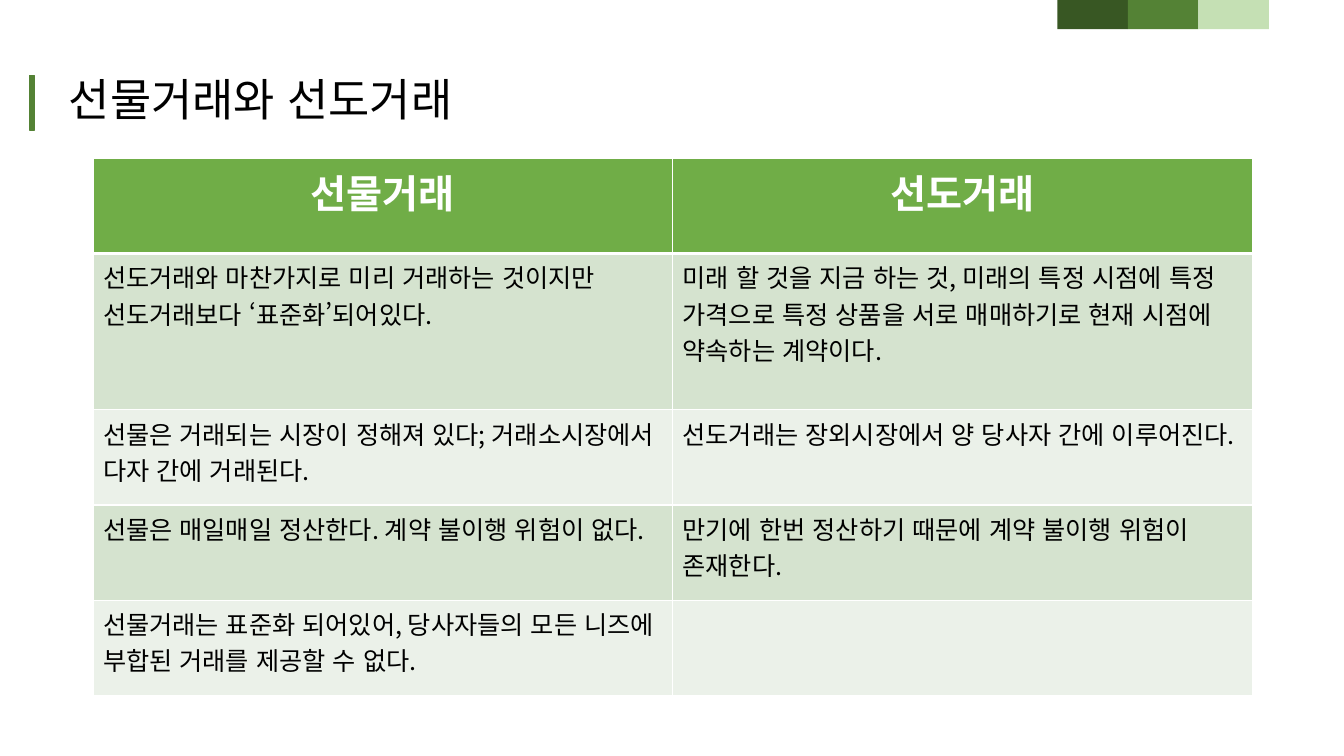
from typing import NamedTuple

from lxml.etree import SubElement
from pptx import Presentation
from pptx.dml.color import RGBColor as RGB
from pptx.enum.lang import MSO_LANGUAGE_ID as LANG
from pptx.enum.shapes import MSO_SHAPE as SHAPE
from pptx.enum.text import MSO_ANCHOR as ANCHOR, PP_ALIGN as ALIGN
from pptx.oxml.ns import qn
from pptx.util import Pt

FONT = "Noto Sans CJK KR"
COLORS = {
    "dark": "385723", "green": "548235", "pale": "C5E0B4",
    "header": "70AD47", "band_odd": "D5E3CF", "band_even": "EBF1E9",
    "white": "FFFFFF", "black": "000000",
}


class Bar(NamedTuple):
    left: float
    top: float
    width: float
    height: float
    color: str
    line: float = 0


class Row(NamedTuple):
    futures: str
    forwards: str
    height: float = 68


BARS = [Bar(755.3 + 50.4 * i, 0, 50.4, 20.9, color)
        for i, color in enumerate(("dark", "green", "pale"))]
BARS.append(Bar(21, 54, 3.6, 38.9, "green", 1))

ROWS = [
    Row("선물거래", "선도거래"),
    Row("선도거래와 마찬가지로 미리 거래하는 것이지만 선도거래보다 ‘표준화’되어있다.",
        "미래 할 것을 지금 하는 것, 미래의 특정 시점에 특정 가격으로 특정 상품을 서로 매매하기로 "
        "현재 시점에 약속하는 계약이다.", 111.6),
    Row("선물은 거래되는 시장이 정해져 있다; 거래소시장에서 다자 간에 거래된다.",
        "선도거래는 장외시장에서 양 당사자 간에 이루어진다."),
    Row("선물은 매일매일 정산한다. 계약 불이행 위험이 없다.",
        "만기에 한번 정산하기 때문에 계약 불이행 위험이 존재한다."),
    Row("선물거래는 표준화 되어있어, 당사자들의 모든 니즈에 부합된 거래를 제공할 수 없다.", ""),
]


def write(tf, text: str, *, size: float, color: str = "black", bold: bool = False,
          align=ALIGN.LEFT, spacing: float = 1.0) -> None:
    p = tf.paragraphs[0]
    p.alignment = align
    p.line_spacing = spacing
    r = p.add_run()
    r.text = text
    font = r.font
    font.size, font.bold, font.name = Pt(size), bold, FONT
    font.language_id = LANG.KOREAN
    font.color.rgb = RGB.from_string(COLORS[color])
    SubElement(r._r.get_or_add_rPr(), qn("a:ea"), typeface=FONT)


def draw_bar(slide, bar: Bar) -> None:
    sp = slide.shapes.add_shape(SHAPE.RECTANGLE, Pt(bar.left), Pt(bar.top),
                                Pt(bar.width), Pt(bar.height))
    sp.shadow.inherit = False
    sp.fill.solid()
    sp.fill.fore_color.rgb = RGB.from_string(COLORS[bar.color])
    if bar.line:
        sp.line.color.rgb = RGB.from_string(COLORS[bar.color])
        sp.line.width = Pt(bar.line)
    else:
        sp.line.fill.background()


def draw_borders(cell, bottom: float, top: float) -> None:
    props = cell._tc.get_or_add_tcPr()
    for side, width in (("L", 1), ("R", 1), ("T", top), ("B", bottom)):
        ln = SubElement(props, qn(f"a:ln{side}"), w=str(Pt(width)))
        fill = SubElement(ln, qn("a:solidFill"))
        SubElement(fill, qn("a:srgbClr"), val=COLORS["white"])


def draw_table(slide, rows: list[Row]) -> None:
    height = sum(row.height for row in rows)
    table = slide.shapes.add_table(len(rows), 2, Pt(66.4), Pt(113.2),
                                   Pt(828), Pt(height)).table
    for column in table.columns:
        column.width = Pt(414)
    for i, row in enumerate(rows):
        table.rows[i].height = Pt(row.height)
        header = i == 0
        band = "header" if header else "band_odd" if i % 2 else "band_even"
        for j, text in enumerate((row.futures, row.forwards)):
            cell = table.cell(i, j)
            draw_borders(cell, bottom=3 if header else 1, top=3 if i == 1 else 1)
            cell.fill.solid()
            cell.fill.fore_color.rgb = RGB.from_string(COLORS[band])
            if header:
                write(cell.text_frame, text, size=28, color="white", bold=True,
                      align=ALIGN.CENTER)
            elif text:
                write(cell.text_frame, text, size=18)


def draw_title(slide, text: str) -> None:
    tf = slide.shapes.add_textbox(Pt(25.2), Pt(27.4), Pt(573), Pt(91.4)).text_frame
    tf.word_wrap = True
    tf.vertical_anchor = ANCHOR.MIDDLE
    tf.margin_left = Pt(24)
    write(tf, text, size=32, spacing=0.9)


def main() -> None:
    prs = Presentation()
    prs.slide_width, prs.slide_height = Pt(960), Pt(540)
    slide = prs.slides.add_slide(prs.slide_layouts[6])
    draw_table(slide, ROWS)
    draw_title(slide, "선물거래와 선도거래")
    for bar in BARS:
        draw_bar(slide, bar)
    prs.save("out.pptx")


if __name__ == "__main__":
    main()
